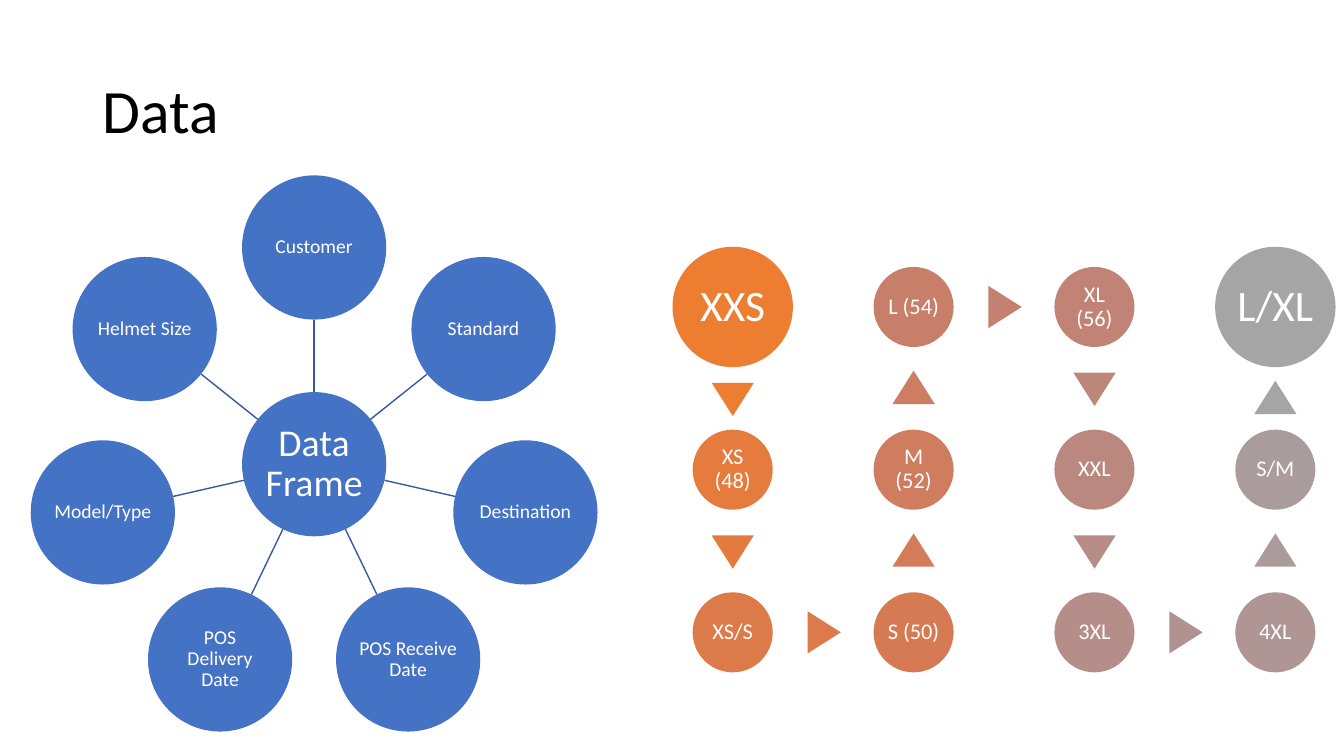
"""Build the Data slide: a hub of data frame fields and a path of helmet sizes."""
from math import cos, pi, sin

from lxml import etree
from pptx import Presentation
from pptx.dml.color import RGBColor
from pptx.enum.shapes import MSO_CONNECTOR, MSO_SHAPE
from pptx.enum.text import MSO_ANCHOR, PP_ALIGN
from pptx.oxml.ns import qn
from pptx.util import Pt

OVAL, TRIANGLE = MSO_SHAPE.OVAL, MSO_SHAPE.ISOSCELES_TRIANGLE
STRAIGHT = MSO_CONNECTOR.STRAIGHT
MIDDLE, LEFT, CENTER = MSO_ANCHOR.MIDDLE, PP_ALIGN.LEFT, PP_ALIGN.CENTER

COLORS = {"title": "000000", "white": "FFFFFF", "field": "4472C4", "spoke": "365B9D"}


def write_text(shape, text, size, color, alignment, inset_x, inset_y):
    frame = shape.text_frame
    frame.text = text
    frame_format = {
        "word_wrap": True, "vertical_anchor": MIDDLE,
        "margin_left": Pt(inset_x), "margin_right": Pt(inset_x),
        "margin_top": Pt(inset_y), "margin_bottom": Pt(inset_y),
    }
    for name, value in frame_format.items():
        setattr(frame, name, value)
    paragraph = frame.paragraphs[0]
    paragraph_format = {"alignment": alignment, "line_spacing": 0.9}
    for name, value in paragraph_format.items():
        setattr(paragraph, name, value)
    font = paragraph.runs[0].font
    for name, value in {"name": "Calibri", "size": Pt(size), "bold": False}.items():
        setattr(font, name, value)
    font.color.rgb = RGBColor.from_string(color)


def add_filled(kind, center_x, center_y, width, height, color):
    shape = slide.shapes.add_shape(
        kind, Pt(center_x - width / 2), Pt(center_y - height / 2), Pt(width), Pt(height))
    shape.shadow.inherit = False
    shape.fill.solid()
    shape.fill.fore_color.rgb = RGBColor.from_string(color)
    shape.line.fill.background()
    return shape


presentation = Presentation()
presentation.slide_width, presentation.slide_height = Pt(960), Pt(540)
slide = presentation.slides.add_slide(presentation.slide_layouts[5])

title = slide.shapes.title
title_box = {"left": 66, "top": 28.8, "width": 828, "height": 104.4}
for name, value in title_box.items():
    setattr(title, name, Pt(value))
write_text(title, "Data", 44, COLORS["title"], LEFT, 7.2, 3.6)

hub_x, hub_y, field_diameter, orbit = 224.4, 331.6, 103, 154.8
spoke_start, spoke_end = field_diameter / 2, orbit - field_diameter / 2
fields = ["Customer", "Standard", "Destination", "POS Receive Date",
          "POS Delivery Date", "Model/Type", "Helmet Size"]

hub = add_filled(OVAL, hub_x, hub_y, field_diameter, field_diameter, COLORS["field"])
write_text(hub, "Data Frame", 27, COLORS["white"], CENTER, 1.4, 1.4)

for index, field in enumerate(fields):
    angle = 2 * pi * index / len(fields)
    across, down = sin(angle), -cos(angle)
    spoke = slide.shapes.add_connector(
        STRAIGHT,
        Pt(hub_x + spoke_start * across), Pt(hub_y + spoke_start * down),
        Pt(hub_x + spoke_end * across), Pt(hub_y + spoke_end * down))
    spoke.line.width = Pt(1)
    spoke.line.color.rgb = RGBColor.from_string(COLORS["spoke"])
    etree.SubElement(spoke.element.spPr, qn("a:effectLst"))
    circle = add_filled(OVAL, hub_x + orbit * across, hub_y + orbit * down,
                        field_diameter, field_diameter, COLORS["field"])
    write_text(circle, field, 14, COLORS["white"], CENTER, 1, 1)

grid_left, grid_top, column_step, row_step = 523.4, 219.3, 129.2, 116.2
big_diameter, small_diameter = 86, 57.2
arrow_width, arrow_height, arrow_lead, big_shift = 30.2, 23.8, 0.7, 7.2
rotations = {(0, 1): 180, (0, -1): 0, (1, 0): 90}
sizes = [
    ("XXS", 0, 0, "ED7D31", "ED7D31"),
    ("XS (48)", 0, 1, "E57B3D", "E47B3E"),
    ("XS/S", 0, 2, "DD7A49", "DC7A4B"),
    ("S (50)", 1, 2, "D67A54", "D47B58"),
    ("M (52)", 1, 1, "CF7C5F", "CC7D64"),
    ("L (54)", 1, 0, "C87F6A", "C48170"),
    ("XL (56)", 2, 0, "C18375", "BD867B"),
    ("XXL", 2, 1, "BB887F", "B78C86"),
    ("3XL", 2, 2, "B58E89", "B09391"),
    ("4XL", 3, 2, "AF9593", "AB9C9B"),
    ("S/M", 3, 1, "AA9C9C", "A5A5A5"),
    ("L/XL", 3, 0, "A5A5A5", None),
]
last = len(sizes) - 1

for index, (label, column, row, color, arrow_color) in enumerate(sizes):
    center_x, center_y = grid_left + column * column_step, grid_top + row * row_step
    is_end = index in (0, last)
    diameter, font_size, inset = (
        (big_diameter, 31, 2.6) if is_end else (small_diameter, 16, 1.4))
    circle = add_filled(OVAL, center_x, center_y, diameter, diameter, color)
    write_text(circle, label, font_size, COLORS["white"], CENTER, inset, inset)
    if index == last:
        continue
    next_column, next_row = sizes[index + 1][1:3]
    step_x, step_y = next_column - column, next_row - row
    arrow_x = center_x + step_x * (column_step / 2 + arrow_lead)
    arrow_y = center_y + step_y * (row_step / 2 + arrow_lead)
    if index in (0, last - 1):
        arrow_y += big_shift
    arrow = add_filled(TRIANGLE, arrow_x, arrow_y, arrow_width, arrow_height, arrow_color)
    arrow.rotation = rotations[step_x, step_y]

presentation.save("out.pptx")
